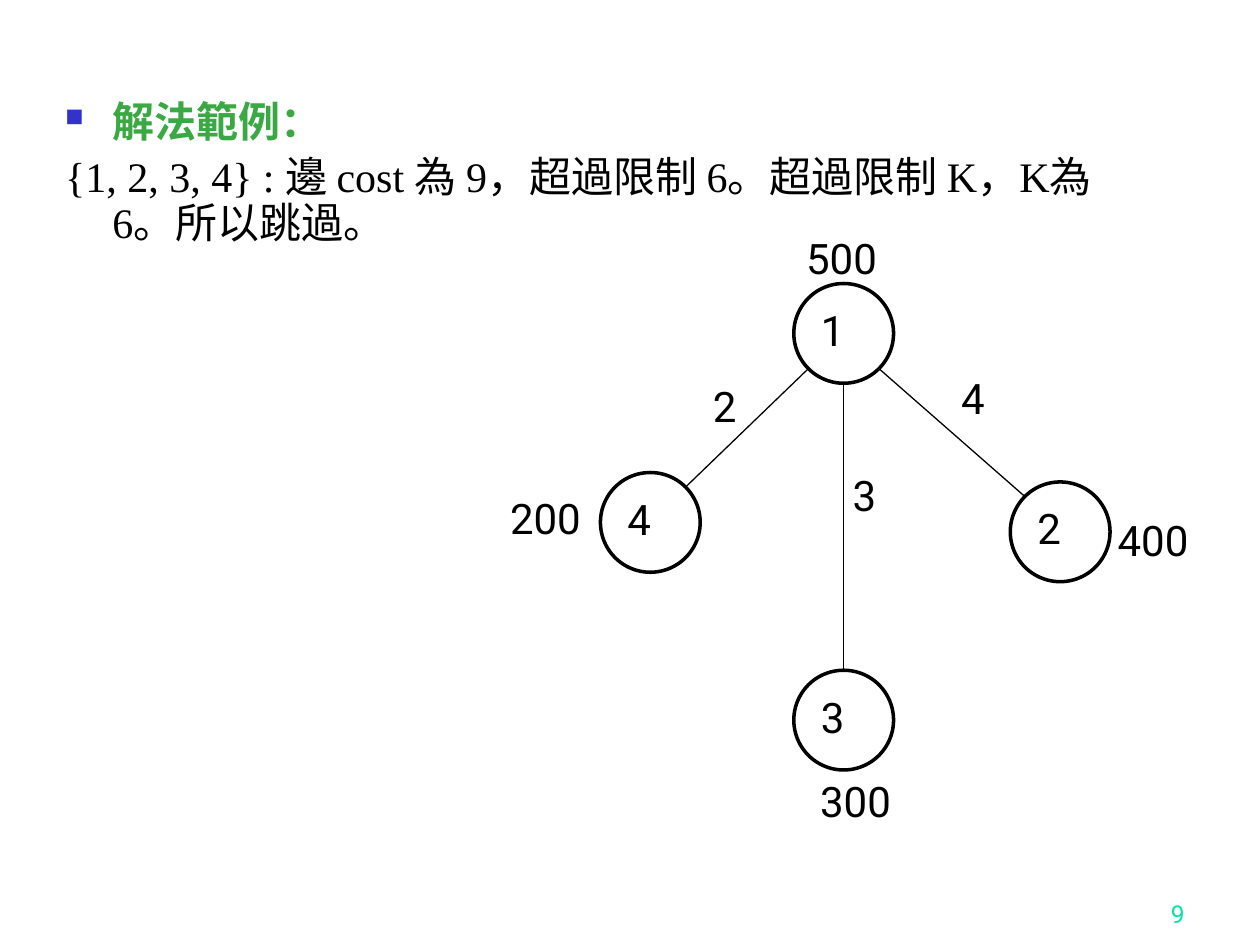
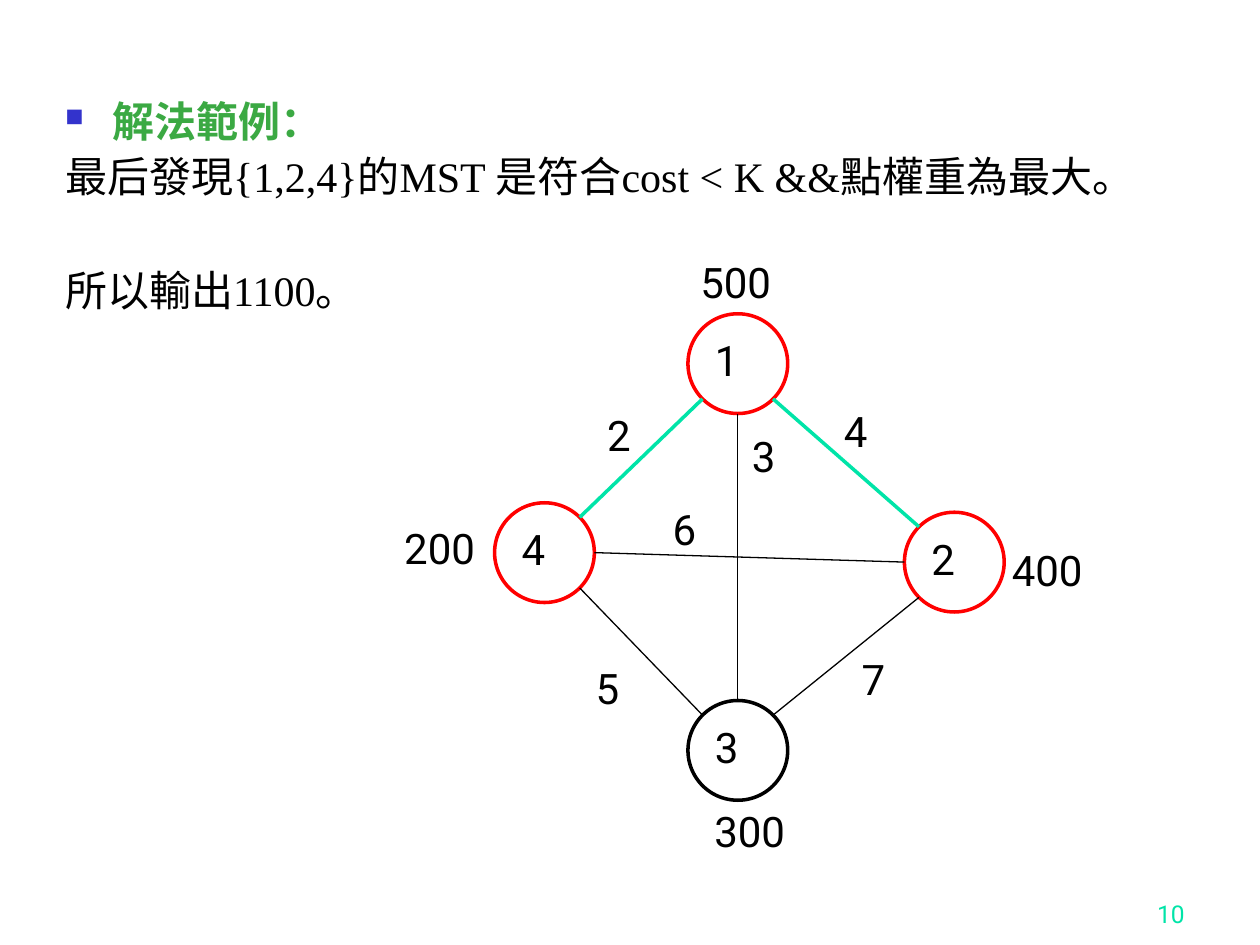
from collections import namedtuple
from dataclasses import dataclass
from math import atan2, cos, pi, sin

from lxml.etree import SubElement
from pptx import Presentation
from pptx.dml.color import RGBColor
from pptx.enum.shapes import MSO_CONNECTOR as Connector, MSO_SHAPE as Shape
from pptx.enum.text import MSO_ANCHOR as Anchor, MSO_AUTO_SIZE as AutoSize, PP_ALIGN as Align
from pptx.oxml.ns import qn
from pptx.util import Pt


@dataclass(frozen=True)
class Theme:
    ink: str = "000000"
    paper: str = "FFFFFF"
    heading: str = "3BA943"
    bullet: str = "3333CC"
    accent: str = "00E4A8"
    chosen: str = "FF0000"
    text_size: float = 24
    page_size: float = 14
    thin: float = 0.75
    thick: float = 2
    body_font: str = "Times New Roman"
    graph_font: str = "Roboto"


THEME = Theme()
Label = namedtuple("Label", "text x y width")

NODE_SIZE = 57
HANGING = 27
WIDE, NARROW = 72, 35.3
NODE_OFFSETS = {1: (0, 0), 4: (-110.5, 108), 3: (0, 221), 2: (123.7, 113.4)}
VERTEX_WEIGHTS = [
    Label("200", -169.2, 116, WIDE),
    Label("300", 8, 277.6, WIDE),
    Label("400", 178, 128.2, WIDE),
]


def color(value):
    return RGBColor.from_string(value)


def write(paragraph, text, *, size=THEME.text_size, font=THEME.graph_font,
          ink=THEME.ink, bold=False, align=Align.LEFT):
    paragraph.alignment = align
    run = paragraph.add_run()
    run.text = text
    run.font.size = Pt(size)
    run.font.name = font
    run.font.bold = bold
    run.font.color.rgb = color(ink)


def add_text_box(slide, left, top, width, height):
    box = slide.shapes.add_textbox(Pt(left), Pt(top), Pt(width), Pt(height))
    box.text_frame.word_wrap = True
    return box.text_frame


def add_page_number(slide, number):
    frame = add_text_box(slide, 534.2, 498.2, 149.8, 36)
    frame.vertical_anchor = Anchor.BOTTOM
    write(frame.paragraphs[0], str(number), size=THEME.page_size,
          ink=THEME.accent, align=Align.RIGHT)


def set_hanging(paragraph, bullet=None):
    properties = paragraph._p.get_or_add_pPr()
    properties.set("marL", str(Pt(HANGING)))
    properties.set("indent", str(Pt(-HANGING)))
    if bullet is None:
        SubElement(properties, qn("a:buNone"))
    else:
        bullet_color = SubElement(properties, qn("a:buClr"))
        SubElement(bullet_color, qn("a:srgbClr"), val=THEME.bullet)
        SubElement(properties, qn("a:buSzPct"), val="60000")
        SubElement(properties, qn("a:buChar"), char=bullet)
    paragraph.line_spacing = 0.9


def add_body(slide, heading, explanations):
    frame = add_text_box(slide, 30.2, 54, 635.8, 442.8)
    paragraph = frame.paragraphs[0]
    set_hanging(paragraph, "■")
    write(paragraph, heading, font=THEME.body_font, ink=THEME.heading, bold=True)
    for text, space_before in explanations:
        paragraph = frame.add_paragraph()
        set_hanging(paragraph)
        paragraph.space_before = Pt(space_before)
        write(paragraph, text, font=THEME.body_font)


def add_node(slide, number, left, top, outline):
    node = slide.shapes.add_shape(Shape.OVAL, Pt(left), Pt(top), Pt(NODE_SIZE), Pt(NODE_SIZE))
    node.shadow.inherit = False
    node.fill.solid()
    node.fill.fore_color.rgb = color(THEME.paper)
    node.line.color.rgb = color(outline)
    node.line.width = Pt(THEME.thick)
    frame = node.text_frame
    frame.word_wrap = False
    frame.vertical_anchor = Anchor.TOP
    write(frame.paragraphs[0], str(number))


def rim_point(corner, angle):
    radius = NODE_SIZE / 2
    return (corner[0] + radius + radius * cos(angle),
            corner[1] + radius + radius * sin(angle))


def add_edge(slide, start, end, ink, width):
    step = pi / 4
    angle = round(atan2(end[1] - start[1], end[0] - start[0]) / step) * step
    points = rim_point(start, angle) + rim_point(end, angle + pi)
    edge = slide.shapes.add_connector(Connector.STRAIGHT, *(Pt(value) for value in points))
    edge.line.color.rgb = color(ink)
    edge.line.width = Pt(width)
    SubElement(edge._element.spPr, qn("a:effectLst"))


def add_label(slide, label, origin):
    frame = add_text_box(slide, origin[0] + label.x, origin[1] + label.y, label.width, 36)
    frame.auto_size = AutoSize.SHAPE_TO_FIT_TEXT
    write(frame.paragraphs[0], label.text)


def add_graph(slide, origin, edges, labels, chosen_nodes=(), chosen_edges=()):
    corners = {number: (origin[0] + x, origin[1] + y)
               for number, (x, y) in NODE_OFFSETS.items()}
    for number, corner in corners.items():
        outline = THEME.chosen if number in chosen_nodes else THEME.ink
        add_node(slide, number, *corner, outline)
    for start, end in edges:
        chosen = (start, end) in chosen_edges
        add_edge(slide, corners[start], corners[end],
                 THEME.accent if chosen else THEME.ink,
                 THEME.thick if chosen else THEME.thin)
    for label in VERTEX_WEIGHTS + labels:
        add_label(slide, label, origin)


def add_example(presentation, page, explanations, **graph):
    slide = presentation.slides.add_slide(presentation.slide_layouts[6])
    slide.background.fill.solid()
    slide.background.fill.fore_color.rgb = color(THEME.paper)
    add_page_number(slide, page)
    add_body(slide, "解法範例：", explanations)
    add_graph(slide, **graph)


def main():
    presentation = Presentation()
    presentation.slide_width = Pt(720)
    presentation.slide_height = Pt(540)
    root_edges = [(1, 2), (1, 3), (1, 4)]

    add_example(
        presentation, 9,
        [("{1, 2, 3, 4} : 邊 cost 為 9，超過限制 6。超過限制 K，K為6。所以跳過。", 6)],
        origin=(453.6, 162),
        edges=root_edges,
        labels=[
            Label("500", 0, -32.4, WIDE),
            Label("4", 88.6, 47.5, WIDE),
            Label("2", -53.3, 51.8, NARROW),
            Label("3", 26.6, 103, NARROW),
        ],
    )
    add_example(
        presentation, 10,
        [("最后發現{1,2,4}的MST 是符合cost < K &&點權重為最大。", 6),
         ("所以輸出1100。", 39)],
        origin=(393.1, 179.3),
        edges=root_edges + [(4, 3), (2, 4), (3, 2)],
        labels=[
            Label("500", 0, -36, WIDE),
            Label("4", 82, 49, WIDE),
            Label("2", -53.3, 51.1, NARROW),
            Label("5", -59.8, 195.8, NARROW),
            Label("6", -15.8, 105.1, NARROW),
            Label("3", 29.5, 63.3, NARROW),
            Label("7", 92.2, 190.8, NARROW),
        ],
        chosen_nodes=(1, 2, 4),
        chosen_edges=((1, 2), (1, 4)),
    )
    presentation.save("out.pptx")


if __name__ == "__main__":
    main()
